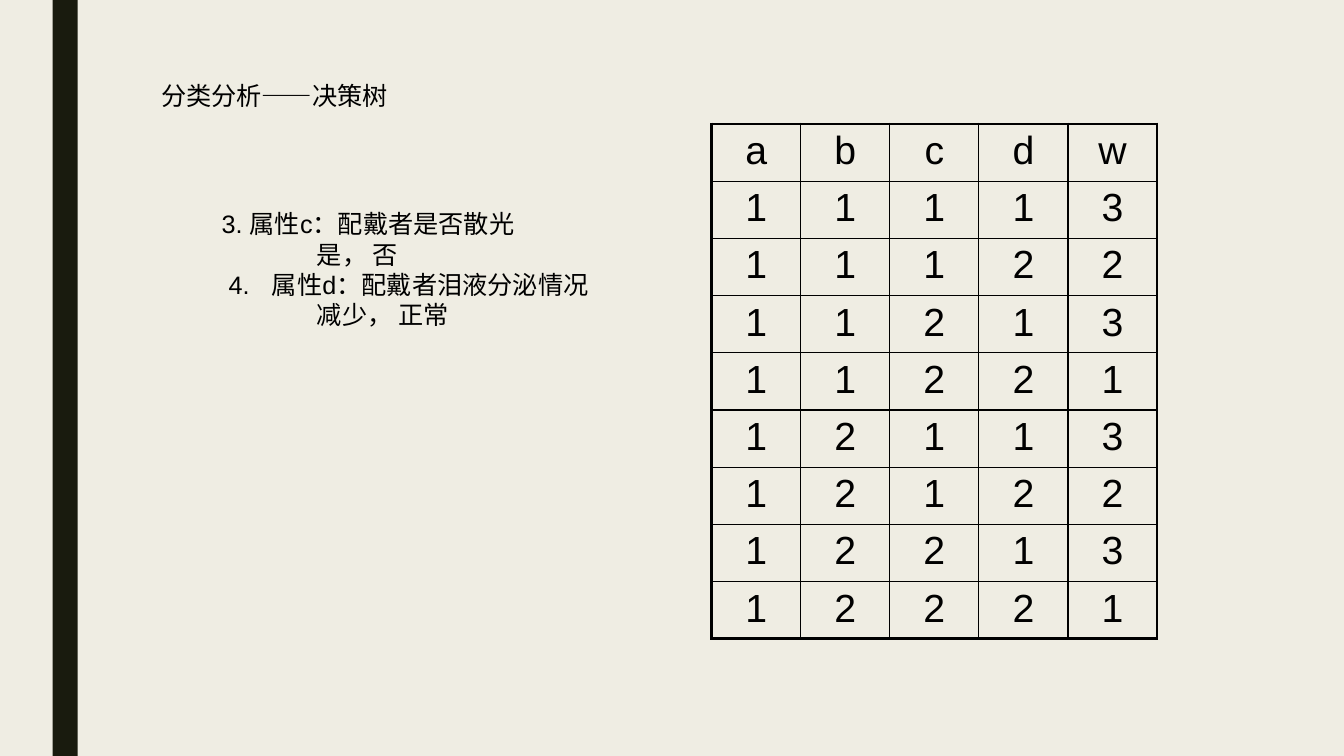
from lxml import etree
from pptx import Presentation
from pptx.dml.color import RGBColor
from pptx.enum import shapes, text
from pptx.oxml import ns
from pptx.util import Pt

BLACK = RGBColor(0x00, 0x00, 0x00)
CREAM = RGBColor(0xEF, 0xED, 0xE3)
OLIVE = RGBColor(0x19, 0x1B, 0x0E)

ROWS = ["abcdw", "11113", "11122", "11213", "11221",
        "12113", "12122", "12213", "12221"]
COL_WIDTH, ROW_HEIGHT = 63.64, 40.8
OUTER, INNER = 2.25, 1

ATTRIBUTES = [
    ("3. 属性c：配戴者是否散光", 0, None),
    ("是， 否", 68, None),
    ("4.\t属性d：配戴者泪液分泌情况", 5, 33.7),
    ("减少， 正常", 68, None),
]


def add_bar(s, left, top, width, height, color):
    sp = s.shapes.add_shape(shapes.MSO_SHAPE.RECTANGLE,
                            Pt(left), Pt(top), Pt(width), Pt(height))
    sp.shadow.inherit = False
    sp.fill.solid()
    sp.fill.fore_color.rgb = color
    sp.line.fill.background()


def add_run(p, content, size, font):
    r = p.add_run()
    r.text = content
    r.font.size = Pt(size)
    r.font.name = font
    r.font.color.rgb = BLACK


def set_indent(p, indent, tab):
    pPr = p._p.get_or_add_pPr()
    pPr.set("marL", "0")
    pPr.set("indent", str(Pt(indent)))
    if tab:
        tabs = etree.SubElement(pPr, ns.qn("a:tabLst"))
        etree.SubElement(tabs, ns.qn("a:tab"), pos=str(Pt(tab)), algn="l")


def add_text(s, left, top, width, height, lines, font):
    sp = s.shapes.add_textbox(Pt(left), Pt(top), Pt(width), Pt(height))
    tf = sp.text_frame
    tf.word_wrap = True
    for i, (content, indent, tab) in enumerate(lines):
        p = tf.add_paragraph() if i else tf.paragraphs[0]
        set_indent(p, indent, tab)
        add_run(p, content, 18, font)


def set_border(cell, side, width):
    ln = etree.SubElement(cell._tc.get_or_add_tcPr(), ns.qn("a:ln" + side),
                          w=str(Pt(width)))
    fill = etree.SubElement(ln, ns.qn("a:solidFill"))
    etree.SubElement(fill, ns.qn("a:srgbClr"), val=str(BLACK))


def add_grid(s, left, top, rows):
    n_rows, n_cols = len(rows), len(rows[0])
    frame = s.shapes.add_table(n_rows, n_cols, Pt(left), Pt(top),
                               Pt(COL_WIDTH * n_cols), Pt(ROW_HEIGHT * n_rows))
    table = frame.table
    table.first_row = table.horz_banding = False
    for col in table.columns:
        col.width = Pt(COL_WIDTH)
    for i, values in enumerate(rows):
        table.rows[i].height = Pt(ROW_HEIGHT)
        for j, value in enumerate(values):
            cell = table.cell(i, j)
            edges = {"L": j == 0, "R": j == n_cols - 1,
                     "T": i == 0, "B": i == n_rows - 1}
            for side, outer in edges.items():
                set_border(cell, side, OUTER if outer else INNER)
            cell.fill.background()
            p = cell.text_frame.paragraphs[0]
            p.alignment = text.PP_ALIGN.CENTER
            add_run(p, value, 28, "Arial")


def main():
    prs = Presentation()
    prs.slide_width, prs.slide_height = Pt(960), Pt(540)
    s = prs.slides.add_slide(prs.slide_layouts[6])
    s.background.fill.solid()
    s.background.fill.fore_color.rgb = CREAM
    add_bar(s, 37.5, 0, 18, 540, OLIVE)
    add_text(s, 108, 54, 756, 116.6, [("分类分析——决策树", 0, None)], "Cabin")
    add_text(s, 151.2, 145.5, 289.4, 94.3, ATTRIBUTES, "Arial")
    add_grid(s, 508.3, 88.6, ROWS)
    prs.save("out.pptx")


if __name__ == "__main__":
    main()
